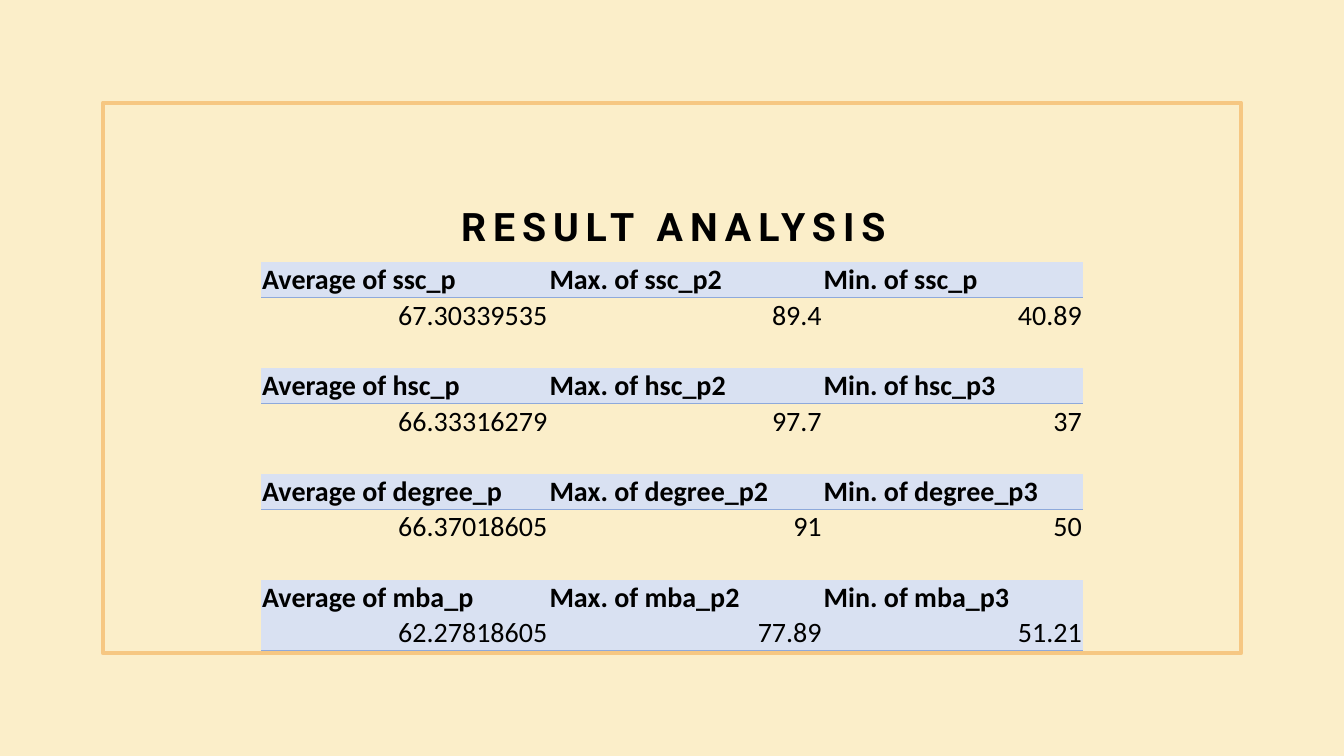
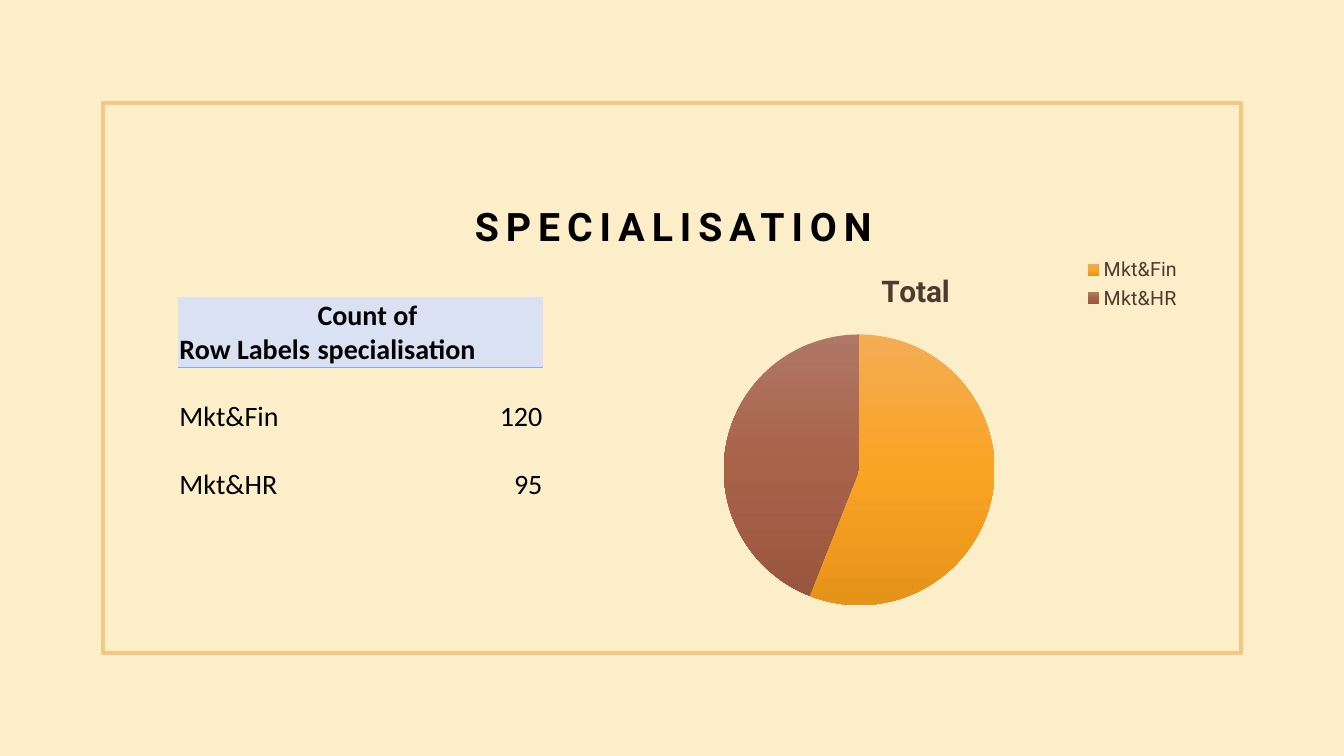
import lxml.etree
import pptx
import pptx.chart.data
import pptx.dml.color
import pptx.enum.chart
import pptx.enum.dml
import pptx.enum.shapes
import pptx.enum.text
import pptx.oxml
import pptx.oxml.ns
import pptx.util

Inches, Pt, qn = pptx.util.Inches, pptx.util.Pt, pptx.oxml.ns.qn
ALIGN, ANCHOR = pptx.enum.text.PP_ALIGN, pptx.enum.text.MSO_ANCHOR

# Shared look
CREAM, ORANGE, BLACK, BROWN = "FBEEC9", "F6C782", "000000", "4E3B30"
HEADER_FILL, RULE = "D9E1F2", "8EA9DB"
TITLE_FONT, TABLE_FONT = "Roboto", "Calibri"
NO_TABLE_STYLE = "{2D5ABB26-0587-4C30-8999-92F81FD0307C}"

# Content
RESULTS = [
    (("Average of ssc_p", "Max. of ssc_p2", "Min. of ssc_p"), ("67.30339535", "89.4", "40.89")),
    (("Average of hsc_p", "Max. of hsc_p2", "Min. of hsc_p3"), ("66.33316279", "97.7", "37")),
    (("Average of degree_p", "Max. of degree_p2", "Min. of degree_p3"), ("66.37018605", "91", "50")),
    (("Average of mba_p", "Max. of mba_p2", "Min. of mba_p3"), ("62.27818605", "77.89", "51.21")),
]
SPECIALISATIONS = [("Mkt&Fin", "120"), ("Mkt&HR", "95")]
SHARES = [56, 44]
SLICE_GRADIENTS = [("F4AC55", "FAA424", "E59319"), ("B07766", "A9624A", "9A553E")]


def color(value):
    return pptx.dml.color.RGBColor.from_string(value)


def format_font(font, size, name, fill, bold=False):
    font.size, font.name, font.bold = Pt(size), name, bold
    font.color.rgb = color(fill)


def write(text_frame, text, size=20, name=TABLE_FONT, fill=BLACK, bold=False,
          align=ALIGN.LEFT, line_spacing=None, tracking=None):
    paragraph = text_frame.paragraphs[0]
    paragraph.alignment, paragraph.line_spacing = align, line_spacing
    run = paragraph.add_run()
    run.text = text
    format_font(run.font, size, name, fill, bold)
    if tracking:
        run.font._element.set("spc", str(tracking * 100))


def add_framed_slide(presentation, title):
    slide = presentation.slides.add_slide(presentation.slide_layouts[5])
    frame = slide.shapes.add_shape(pptx.enum.shapes.MSO_SHAPE.RECTANGLE,
                                   Inches(1.02), Inches(1.02), Inches(11.29), Inches(5.46))
    frame.shadow.inherit = False
    frame.fill.background()
    frame.line.color.rgb, frame.line.width = color(ORANGE), Pt(3)
    shape = slide.shapes.title
    shape.left, shape.top = Inches(1.77), Inches(1.35)
    shape.width, shape.height = Inches(9.82), Inches(1.17)
    shape.text_frame.vertical_anchor = ANCHOR.BOTTOM
    shape.text_frame.auto_size = pptx.enum.text.MSO_AUTO_SIZE.NONE
    write(shape.text_frame, title, size=28, name=TITLE_FONT, bold=True,
          align=ALIGN.CENTER, line_spacing=1.2, tracking=5)
    return slide


def add_bottom_border(cell):
    line = pptx.oxml.parse_xml(
        f'<a:lnB {pptx.oxml.ns.nsdecls("a")} w="{Pt(0.5)}"><a:solidFill>'
        f'<a:srgbClr val="{RULE}"/></a:solidFill></a:lnB>')
    cell._tc.get_or_add_tcPr().insert(0, line)


def add_table(slide, left, top, widths, row_height, rows):
    """Each row is (texts, alignments, bold, filled, ruled)."""
    graphic = slide.shapes.add_table(len(rows), len(widths), Inches(left), Inches(top),
                                     Inches(sum(widths)), Inches(row_height * len(rows)))
    table = graphic.table
    table.first_row = table.horz_banding = False
    next(graphic.element.iter(qn("a:tableStyleId"))).text = NO_TABLE_STYLE
    for column, width in zip(table.columns, widths):
        column.width = Inches(width)
    for row, (texts, alignments, bold, filled, ruled) in zip(table.rows, rows):
        row.height = Inches(row_height)
        for cell, text, align in zip(row.cells, texts, alignments):
            cell.margin_left = cell.margin_right = cell.margin_top = Inches(0.01)
            cell.margin_bottom = 0
            cell.vertical_anchor = ANCHOR.BOTTOM
            if text:
                write(cell.text_frame, text, bold=bold, align=align)
            if filled:
                cell.fill.solid()
                cell.fill.fore_color.rgb = color(HEADER_FILL)
            else:
                cell.fill.background()
            if ruled:
                add_bottom_border(cell)


def add_results(presentation):
    slide = add_framed_slide(presentation, "RESULT ANALYSIS")
    left, right = [ALIGN.LEFT] * 3, [ALIGN.RIGHT] * 3
    rows = []
    for index, (headings, values) in enumerate(RESULTS):
        last = index == len(RESULTS) - 1
        rows.append((headings, left, True, True, not last))
        rows.append((values, right, False, last, last))
        if not last:
            rows.append(([""] * 3, left, False, False, False))
    add_table(slide, 2.59, 2.6, [2.85, 2.72, 2.58], 0.35, rows)


def add_pie(slide):
    data = pptx.chart.data.CategoryChartData()
    data.categories = [label for label, count in SPECIALISATIONS]
    data.add_series("Total", SHARES)
    chart = slide.shapes.add_chart(pptx.enum.chart.XL_CHART_TYPE.PIE, Inches(6.42), Inches(2.52),
                                   Inches(5.32), Inches(3.63), data).chart
    format_font(chart.font, 10, TITLE_FONT, BLACK)
    chart.has_title = True
    write(chart.chart_title.text_frame, "Total", size=21.3, name=TITLE_FONT, fill=BROWN,
          bold=True, align=ALIGN.CENTER)
    chart.chart_title.include_in_layout = False
    chart.has_legend = True
    chart.legend.position = pptx.enum.chart.XL_LEGEND_POSITION.CORNER
    chart.legend.include_in_layout = False
    format_font(chart.legend.font, 14, TITLE_FONT, BROWN)

    # Three-stop gradients, top to bottom
    plot = chart.plots[0]
    plot.vary_by_categories = True
    for index in range(len(SHARES)):
        point_format = plot.series[0].points[index].format
        point_format.fill.gradient()
        point_format.fill.gradient_angle = 270
        point_format.line.fill.background()
    for stops, colors in zip(chart.element.iter(qn("a:gsLst")), SLICE_GRADIENTS):
        for stop in list(stops):
            stops.remove(stop)
        for index, value in enumerate(colors):
            stop = lxml.etree.SubElement(stops, qn("a:gs"), pos=str(index * 50000))
            lxml.etree.SubElement(stop, qn("a:srgbClr"), val=value)

    # Place of the pie as fractions of the chart
    plot_area = next(chart.element.iter(qn("c:plotArea")))
    for layout in plot_area.findall(qn("c:layout")):
        plot_area.remove(layout)
    layout = lxml.etree.Element(qn("c:layout"))
    manual = lxml.etree.SubElement(layout, qn("c:manualLayout"))
    for tag, value in [("layoutTarget", "inner"), ("xMode", "edge"), ("yMode", "edge"),
                       ("x", "0.14"), ("y", "0.22"), ("w", "0.51"), ("h", "0.74")]:
        lxml.etree.SubElement(manual, qn("c:" + tag), val=value)
    plot_area.insert(0, layout)


def add_specialisation(presentation):
    slide = add_framed_slide(presentation, "SPECIALISATION")
    rows = [(("Row Labels", "Count of specialisation"), [ALIGN.LEFT] * 2, True, True, True)]
    rows += [(pair, (ALIGN.LEFT, ALIGN.RIGHT), False, False, False) for pair in SPECIALISATIONS]
    add_table(slide, 1.77, 2.95, [1.37, 2.25], 0.67, rows)
    add_pie(slide)


def main():
    presentation = pptx.Presentation()
    presentation.slide_width, presentation.slide_height = Inches(13.33), Inches(7.5)
    background = presentation.slide_master.background.fill
    background.solid()
    background.fore_color.rgb = color(CREAM)
    add_results(presentation)
    add_specialisation(presentation)
    presentation.save("out.pptx")


if __name__ == "__main__":
    main()
